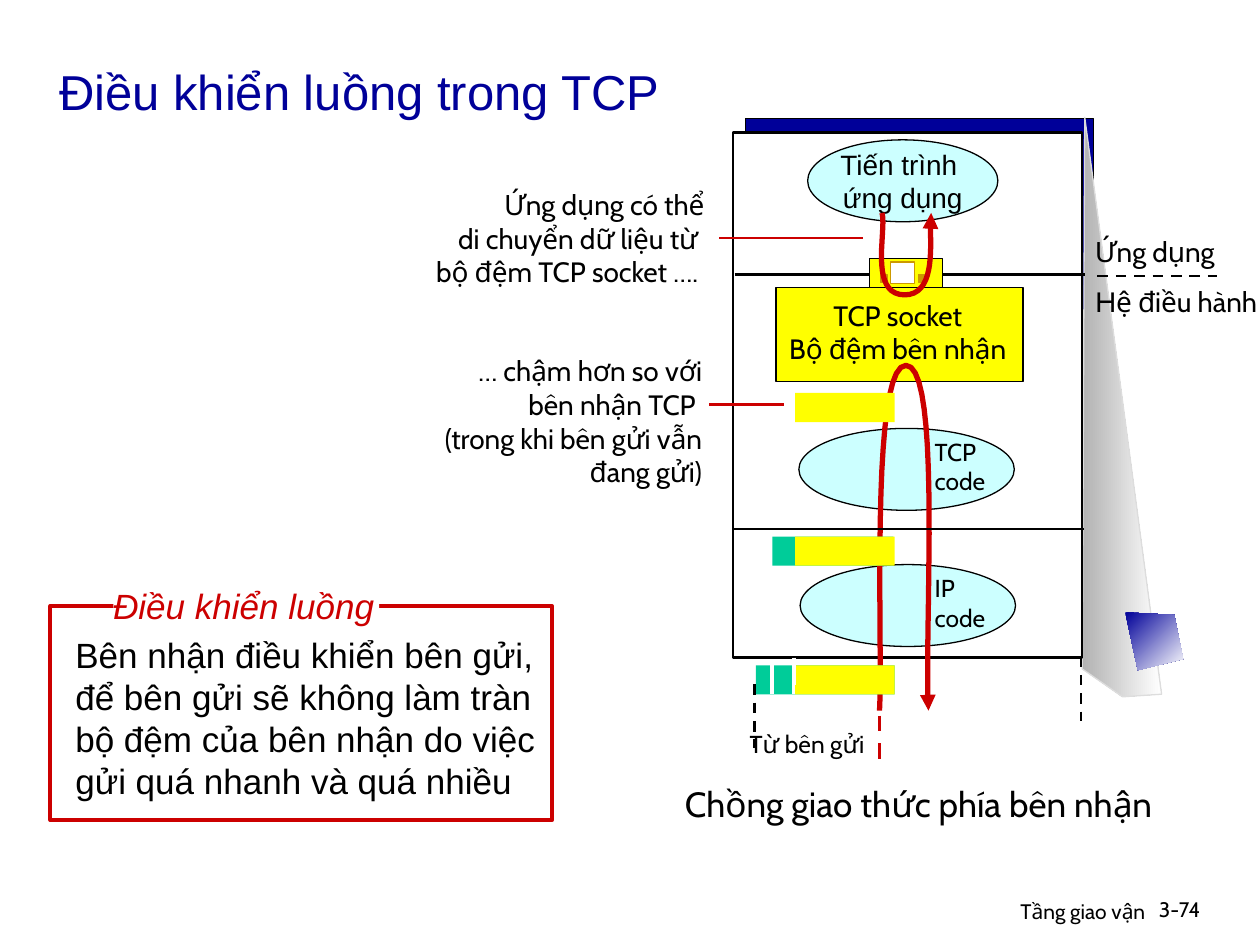
from dataclasses import dataclass
from typing import Optional

from lxml.etree import SubElement
from pptx import Presentation
from pptx.dml.color import RGBColor
from pptx.enum.dml import MSO_LINE
from pptx.enum.shapes import MSO_CONNECTOR, MSO_SHAPE
from pptx.enum.text import MSO_ANCHOR, MSO_AUTO_SIZE, PP_ALIGN
from pptx.oxml.ns import qn
from pptx.util import Pt

BLACK = RGBColor(0x00, 0x00, 0x00)
WHITE = RGBColor(0xFF, 0xFF, 0xFF)
NAVY = RGBColor(0x00, 0x00, 0x99)
RED = RGBColor(0xCC, 0x00, 0x00)
YELLOW = RGBColor(0xFF, 0xFF, 0x00)
GOLD = RGBColor(0xCC, 0x99, 0x00)
GREEN = RGBColor(0x00, 0xCC, 0x99)
PALE_BLUE = RGBColor(0xCC, 0xFF, 0xFF)
GRAY = RGBColor(0xB2, 0xB2, 0xB2)
LIGHT_GRAY = RGBColor(0xDD, 0xDD, 0xDD)

RECTANGLE = MSO_SHAPE.RECTANGLE
ELLIPSE = MSO_SHAPE.OVAL
LEFT, CENTER, RIGHT = PP_ALIGN.LEFT, PP_ALIGN.CENTER, PP_ALIGN.RIGHT

Point = tuple[float, float]


@dataclass
class Block:
    left: float
    top: float
    width: float
    height: float
    fill: RGBColor
    line: Optional[RGBColor] = None
    weight: float = 0.75
    kind: MSO_SHAPE = RECTANGLE


@dataclass
class Label:
    left: float
    top: float
    width: float
    height: float
    lines: list[str]
    size: float = 16
    align: PP_ALIGN = CENTER
    wrap: bool = False
    font: str = "Cabin"
    color: RGBColor = BLACK
    italic: bool = False


@dataclass
class Rule:
    start: Point
    end: Point
    color: RGBColor = BLACK
    weight: float = 1.5
    dashed: bool = False


def write_lines(frame, label: Label) -> None:
    for index, line in enumerate(label.lines):
        para = frame.paragraphs[0] if index == 0 else frame.add_paragraph()
        para.alignment = label.align
        span = para.add_run()
        span.text = line
        span.font.name = label.font
        span.font.size = Pt(label.size)
        span.font.italic = label.italic
        span.font.color.rgb = label.color


def draw_block(shapes, block: Block):
    shape = shapes.add_shape(block.kind, Pt(block.left), Pt(block.top), Pt(block.width), Pt(block.height))
    shape.shadow.inherit = False
    shape.fill.solid()
    shape.fill.fore_color.rgb = block.fill
    set_outline(shape, block.line, block.weight)
    return shape


def set_outline(shape, color: Optional[RGBColor], weight: float) -> None:
    if color is None:
        shape.line.fill.background()
    else:
        shape.line.color.rgb = color
        shape.line.width = Pt(weight)


def draw_label(shapes, label: Label) -> None:
    box = shapes.add_textbox(Pt(label.left), Pt(label.top), Pt(label.width), Pt(label.height))
    box.text_frame.word_wrap = label.wrap
    box.text_frame.auto_size = MSO_AUTO_SIZE.SHAPE_TO_FIT_TEXT
    write_lines(box.text_frame, label)


def draw_rule(shapes, rule: Rule) -> None:
    ends = [Pt(value) for value in (*rule.start, *rule.end)]
    connector = shapes.add_connector(MSO_CONNECTOR.STRAIGHT, *ends)
    set_outline(connector, rule.color, rule.weight)
    if rule.dashed:
        connector.line.dash_style = MSO_LINE.DASH
    SubElement(connector.element.spPr, qn("a:effectLst"))


def draw_outline(shapes, points: list[Point], close: bool):
    places = [(Pt(x), Pt(y)) for x, y in points]
    builder = shapes.build_freeform(*places[0])
    builder.add_line_segments(places[1:], close=close)
    shape = builder.convert_to_shape()
    shape.shadow.inherit = False
    return shape


def draw_gradient(shapes, points: list[Point], color: RGBColor, angle: float, line: Optional[RGBColor] = None) -> None:
    shape = draw_outline(shapes, points, True)
    shape.fill.gradient()
    shape.fill.gradient_angle = angle
    for stop, stop_color in zip(shape.fill.gradient_stops, (color, WHITE)):
        stop.color.rgb = stop_color
    set_outline(shape, line, 0.75)


def bezier(start: Point, first: Point, second: Point, end: Point, steps: int = 20) -> list[Point]:
    def blend(axis: int, t: float) -> float:
        u = 1 - t
        return (u**3 * start[axis] + 3 * u * u * t * first[axis]
                + 3 * u * t * t * second[axis] + t**3 * end[axis])

    return [(blend(0, step / steps), blend(1, step / steps)) for step in range(steps + 1)]


def draw_flow(shapes, points: list[Point]) -> None:
    shape = draw_outline(shapes, points, False)
    shape.fill.background()
    set_outline(shape, RED, 3)
    SubElement(shape.element.spPr.find(qn("a:ln")), qn("a:tailEnd"), type="triangle")


def draw_stack(shapes) -> None:
    draw_block(shapes, Block(426.2, 67.7, 198.7, 303.8, NAVY, BLACK))
    draw_gradient(shapes, [(663.8, 396.7), (619.9, 67), (618.5, 382.3), (641.5, 398.2)], GRAY, 0, LIGHT_GRAY)
    draw_block(shapes, Block(419, 75.6, 199.4, 300.2, WHITE, BLACK, 1.5))
    process = draw_block(shapes, Block(461.5, 79.9, 108.7, 46.8, PALE_BLUE, BLACK, kind=ELLIPSE))
    process.text_frame.word_wrap = False
    process.text_frame.vertical_anchor = MSO_ANCHOR.MIDDLE
    write_lines(process.text_frame, Label(0, 0, 0, 0, ["Tiến trình ", "ứng dụng"], font="Arial"))
    draw_block(shapes, Block(443.5, 164.2, 141.1, 54, YELLOW, BLACK))
    draw_label(shapes, Label(439.2, 167, 147.6, 46.1, ["TCP socket", "Bộ đệm bên nhận"]))
    for name, left, top in (("TCP", 456.5, 244.8), ("IP", 457.2, 322.6)):
        draw_block(shapes, Block(left, top, 123.1, 46.8, PALE_BLUE, BLACK, kind=ELLIPSE))
        draw_label(shapes, Label(527, top + 1.4, 46.1, 41, [name, "code"], 14, LEFT))


def draw_packets(shapes) -> None:
    peak = (517.7, 208.8)
    rise = bezier((502.6, 406.1), (504.7, 373), (496.8, 208.8), peak)
    draw_flow(shapes, rise + bezier(peak, (538.6, 208.8), (527.8, 365), (530.6, 406.1))[1:])
    for left, height in ((419, 302.4), (419.8, 157)):
        draw_rule(shapes, Rule((left, height), (left + 200.2, height)))
    draw_block(shapes, Block(496.8, 147.6, 41.8, 16.6, YELLOW, BLACK))
    draw_block(shapes, Block(509, 149.8, 13.7, 12.2, WHITE, GOLD))
    for left in (524.9, 503.3):
        draw_block(shapes, Block(left, 157, 3.6, 4.3, GOLD, GOLD))
    base = (517, 168.5)
    fall = bezier((504, 121.7), (506.9, 131), (496.1, 168.5), base)
    draw_flow(shapes, fall + bezier(base, (537.8, 168.5), (529.9, 129.6), (532.1, 121.7))[1:])
    draw_block(shapes, Block(432, 380.2, 79.2, 16.6, GREEN))
    for left in (441.4, 453.6):
        draw_rule(shapes, Rule((left, 380.2), (left, 396.7), WHITE, 2.25))
    draw_block(shapes, Block(441.4, 306.7, 69.1, 16.6, GREEN))
    for top in (224.6, 306.7, 380.2):
        draw_block(shapes, Block(454.3, top, 57, 16.6, YELLOW))


def draw_notes(shapes) -> None:
    for label in (
        Label(614.9, 130.3, 90, 26.6, ["Ứng dụng"]),
        Label(614.9, 159.1, 114.5, 26.6, ["Hệ điều hành"]),
        Label(369.4, 443.5, 311, 31.7, ["Chồng giao thức phía bên nhận"], 20),
        Label(158.4, 103.7, 251.3, 64.8,
              ["Ứng dụng có thể", "di chuyển dữ liệu từ ", "bộ đệm TCP socket …. "], align=RIGHT, wrap=True),
        Label(244.1, 198.7, 164.2, 84.2,
              ["… chậm hơn so với bên nhận TCP ", "(trong khi bên gửi vẫn đang gửi)"], align=RIGHT, wrap=True),
        Label(418.3, 413.3, 85.7, 24.5, ["Từ bên gửi"], 14),
        Label(655.2, 509, 53.3, 21.6, ["3-74"], 12, LEFT, True),
        Label(433.4, 509.8, 228.2, 22.3, ["Tầng giao vận"], 12, RIGHT, True),
    ):
        draw_label(shapes, label)
    for rule in (
        Rule((627.1, 157.7), (695.5, 157.7), dashed=True),
        Rule((411.1, 136.1), (493.2, 136.1), RED),
        Rule((405.4, 231.1), (447.8, 231.1), RED),
        Rule((502.6, 409), (502.6, 436.3), RED, 2.25, True),
        Rule((453.6, 375.8), (453.6, 391.7), WHITE, 2.25),
        Rule((431.3, 391), (431.3, 427.7), dashed=True),
        Rule((617.8, 375.1), (617.8, 411.8), dashed=True),
    ):
        draw_rule(shapes, rule)
    draw_gradient(shapes, [(643, 349.9), (671, 351.4), (676.1, 376.6), (650.2, 383)], NAVY, 315)


def draw_definition(shapes) -> None:
    draw_block(shapes, Block(28.8, 346.3, 286.6, 122.4, WHITE, RED, 2.25))
    meaning = ("Bên nhận điều khiển bên gửi, để bên gửi sẽ không làm tràn "
               "bộ đệm của bên nhận do việc gửi quá nhanh và quá nhiều")
    draw_label(shapes, Label(36, 358.6, 283, 103.7, [meaning], 20, LEFT, True, "Arial"))
    draw_block(shapes, Block(64.8, 337.7, 151.9, 28.1, WHITE))
    draw_label(shapes, Label(49.3, 330.5, 180, 31.7, ["Điều khiển luồng"], 20,
                             font="Arial", color=RED, italic=True))


def main() -> None:
    deck = Presentation()
    deck.slide_width, deck.slide_height = Pt(720), Pt(540)
    page = deck.slides.add_slide(deck.slide_layouts[5])
    title = page.shapes.title
    title.left, title.top, title.width, title.height = Pt(26.6), Pt(13.7), Pt(612), Pt(77)
    title.text_frame.vertical_anchor = MSO_ANCHOR.MIDDLE
    write_lines(title.text_frame, Label(0, 0, 0, 0, ["Điều khiển luồng trong TCP"], 28, LEFT, font="Arial", color=NAVY))
    for draw in (draw_stack, draw_packets, draw_notes, draw_definition):
        draw(page.shapes)
    deck.save("out.pptx")


if __name__ == "__main__":
    main()
